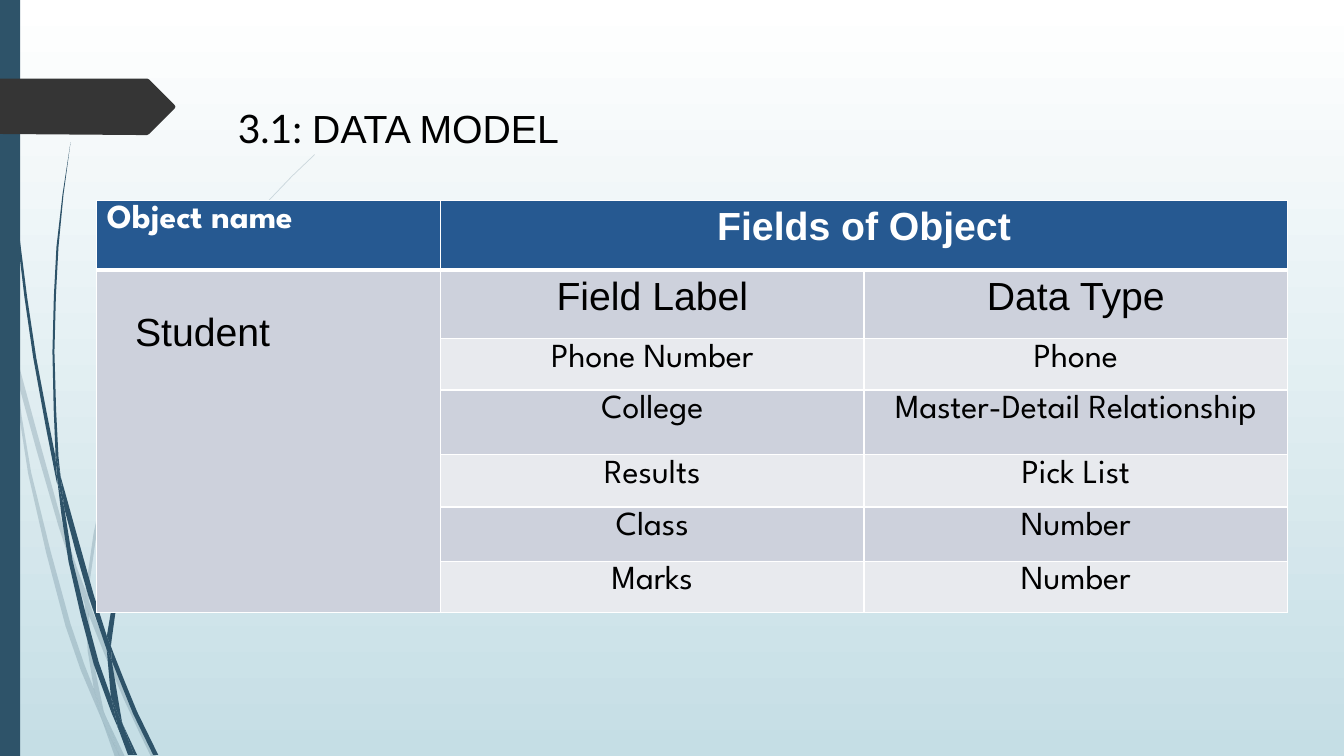
from math import dist

from lxml import etree
from pptx import Presentation
from pptx import util as u
from pptx.dml.color import RGBColor
from pptx.enum import shapes, text
from pptx.oxml.ns import qn

TEAL = RGBColor(0x2E, 0x53, 0x69)
DARK = RGBColor(0x35, 0x35, 0x35)
BLUE = RGBColor(0x26, 0x59, 0x91)
GREY = RGBColor(0xCD, 0xD1, 0xDC)
PALE = RGBColor(0xE8, 0xEA, 0xEE)
SKY = RGBColor(0xC5, 0xDE, 0xE5)
WHITE = RGBColor(0xFF, 0xFF, 0xFF)
BLACK = RGBColor(0, 0, 0)
SANS, ROUND = "Arial", "League Spartan"

# Each strand of grass: one edge out, one edge back
FAINT = [
    ([(0.11, 3.5), (0.09, 3.22), (0, 2.82)], [(0, 2.99), (0.1, 3.44)]),
    ([(0.14, 3.45), (0.17, 3.76), (0.58, 5.22), (0.84, 5.99)],
     [(0.85, 5.86), (0.62, 5.2), (0.14, 3.45)]),
    ([(0.88, 5.96), (0.88, 6.1), (1.23, 6.94), (1.5, 7.51)],
     [(1.55, 7.51), (1.27, 6.92), (0.92, 6.07)]),
    ([(1.05, 7.11), (1.19, 7.51)], [(1.24, 7.51)]),
    ([(0.11, 3.5), (0.28, 4.7), (0.65, 6.21), (0.92, 6.93), (1.01, 7.14)],
     [(0.99, 7.07), (0.93, 6.83), (0.7, 6.19), (0.31, 4.69), (0.17, 3.76)]),
    ([(0.84, 5.99), (0.87, 6.46), (0.93, 6.83), (0.96, 6.92), (1.05, 7.11)],
     [(1.03, 7.06), (0.91, 6.46), (0.88, 6.08)]),
    ([(0.88, 5.96), (0.88, 5.84), (1.1, 4.62), (1.6, 3.49), (2.29, 2.45),
      (2.68, 1.98), (2.9, 1.75), (3.12, 1.54)],
     [(3.12, 1.53), (2.89, 1.75), (2.68, 1.97), (2.28, 2.44), (1.58, 3.48),
      (1.07, 4.61), (0.85, 5.84)]),
    ([(1.01, 7.14), (1.14, 7.51)], [(1.19, 7.51)]),
    ([(0.88, 6.1), (0.88, 5.96), (0.85, 5.86)], [(0.84, 5.99), (0.88, 6.08)]),
    ([(0.93, 6.83), (0.99, 7.07), (1.01, 7.14), (1.19, 7.51)],
     [(1.05, 7.11), (0.96, 6.92)]),
]
STRONG = [
    ([(0.03, 0), (0.04, 0.48), (0.07, 1.1), (0.17, 2.33), (0.33, 3.55), (0.56, 4.77)],
     [(0.57, 4.81), (0.55, 4.53), (0.36, 3.55), (0.19, 2.32), (0.08, 1.09),
      (0.05, 0.48), (0.04, 0)]),
    ([(0.6, 4.72), (0.64, 5.05), (0.88, 5.92), (1.06, 6.45)],
     [(1.06, 6.31), (0.93, 5.9), (0.6, 4.72)]),
    ([(1.1, 6.41), (1.11, 6.56), (1.32, 7.08), (1.52, 7.49)],
     [(1.57, 7.49), (1.36, 7.06), (1.13, 6.49)]),
    ([(0.57, 4.77), (0.68, 5.57), (0.93, 6.59), (1.11, 7.08), (1.17, 7.22)],
     [(1.16, 7.17), (1.1, 6.91), (0.98, 6.57), (0.72, 5.56), (0.64, 5.05)]),
    ([(0.6, 4.72), (0.58, 4.53), (0.54, 3.49), (0.58, 2.45), (0.63, 1.93), (0.7, 1.41)],
     [(0.62, 1.93), (0.56, 2.45), (0.52, 3.49), (0.55, 4.49)]),
    ([(1.22, 7.19), (1.33, 7.49)], [(1.36, 7.49)]),
    ([(0.55, 4.49), (0.55, 4.53), (0.57, 4.77), (0.64, 5.05)], [(0.6, 4.72)]),
    ([(1.1, 6.41), (1.11, 6.33), (1.25, 5.52), (1.58, 4.76), (2.05, 4.06),
      (2.31, 3.74), (2.61, 3.44)],
     [(2.6, 3.44), (2.31, 3.73), (2.04, 4.05), (1.56, 4.74), (1.22, 5.51), (1.06, 6.31)]),
    ([(1.17, 7.22), (1.27, 7.49)], [(1.31, 7.49)]),
    ([(1.06, 6.45), (1.1, 6.91), (1.16, 7.06), (1.22, 7.19)],
     [(1.21, 7.16), (1.11, 6.56)]),
    ([(1.06, 6.45), (1.11, 6.56), (1.1, 6.41)], [(1.06, 6.31)]),
    ([(1.1, 6.91), (1.16, 7.17), (1.17, 7.22), (1.3, 7.49)],
     [(1.33, 7.49), (1.22, 7.19), (1.16, 7.06)]),
]
FIELDS = [("Phone Number", "Phone"), ("College", "Master-Detail Relationship"),
          ("Results", "Pick List"), ("Class", "Number"), ("Marks", "Number")]
COLS = [3.41, 4.2, 4.2]
ROWS = [0.69, 0.68, 0.51, 0.64, 0.52, 0.54, 0.51]


def curve(edge):
    """Points of the edge, with a smooth middle point in each long span."""
    pad = [edge[0], *edge, edge[-1]]
    out = [edge[0]]
    for a, b, c, d in zip(pad, pad[1:], pad[2:], pad[3:]):
        if dist(b, c) > 0.6:
            out.append(tuple((9 * (q + r) - p - s) / 16 for p, q, r, s in zip(a, b, c, d)))
        out.append(c)
    return out


class Deck:
    def __init__(self):
        self.file = Presentation()
        self.file.slide_width = u.Inches(13.33)
        self.file.slide_height = u.Inches(7.5)
        self.slide = self.file.slides.add_slide(self.file.slide_layouts[6])
        self.items = self.slide.shapes

    def back(self, top, base):
        fill = self.slide.background.fill
        fill.gradient()
        fill.gradient_angle = 270
        for stop, color in zip(fill.gradient_stops, (top, base)):
            stop.color.rgb = color

    def paint(self, shape, color, alpha=None):
        shape.shadow.inherit = False
        shape.fill.solid()
        shape.fill.fore_color.rgb = color
        shape.line.fill.background()
        if alpha:
            tint = shape.fill._xPr.find(qn("a:solidFill"))[0]
            etree.SubElement(tint, qn("a:alpha")).set("val", str(alpha * 1000))

    def rect(self, x, y, w, h, color):
        box = [u.Inches(v) for v in (x, y, w, h)]
        self.paint(self.items.add_shape(shapes.MSO_SHAPE.RECTANGLE, *box), color)

    def free(self, points, color, alpha=None):
        spots = [(u.Inches(x), u.Inches(y)) for x, y in points]
        form = self.items.build_freeform(*spots[0])
        form.add_line_segments(spots[1:], close=True)
        self.paint(form.convert_to_shape(), color, alpha)

    def run(self, para, words, font, size, color=BLACK, bold=False):
        run = para.add_run()
        run.text = words
        run.font.name, run.font.size = font, u.Pt(size)
        run.font.color.rgb, run.font.bold = color, bold

    def title(self, x, y, w, h, runs):
        frame = self.items.add_textbox(*[u.Inches(v) for v in (x, y, w, h)]).text_frame
        frame.word_wrap = True
        frame.margin_top = u.Inches(0.51)
        for words, font in runs:
            self.run(frame.paragraphs[0], words, font, 28)

    def grid(self, x, y, cols, rows):
        box = [u.Inches(v) for v in (x, y, sum(cols), sum(rows))]
        table = self.items.add_table(len(rows), len(cols), *box).table
        for col, width in zip(table.columns, cols):
            col.width = u.Inches(width)
        for row, height in zip(table.rows, rows):
            row.height = u.Inches(height)
        return table

    def cell(self, cell, fill, wide):
        props = cell._tc.get_or_add_tcPr()
        for side in "LRTB":
            line = etree.SubElement(props, qn("a:ln" + side))
            line.set("w", str(u.Pt(3 if side == wide else 1)))
            solid = etree.SubElement(line, qn("a:solidFill"))
            etree.SubElement(solid, qn("a:srgbClr")).set("val", str(WHITE))
        cell.fill.solid()
        cell.fill.fore_color.rgb = fill

    def label(self, cell, words, font, size, color=BLACK, bold=False, mid=True):
        para = cell.text_frame.paragraphs[0]
        if mid:
            para.alignment = text.PP_ALIGN.CENTER
        self.run(para, words, font, size, color, bold)


def main():
    deck = Deck()
    deck.back(WHITE, SKY)

    # Grass, side bar and tag
    for group, alpha in ((FAINT, 20), (STRONG, None)):
        for out, home in group:
            deck.free(curve(out) + curve(home), TEAL, alpha)
    deck.rect(0, 0, 0.2, 7.5, TEAL)
    deck.free([(0, 0.78), (1.46, 0.78), (1.48, 0.79), (1.73, 1.04), (1.74, 1.06),
               (1.73, 1.08), (1.48, 1.33), (1.46, 1.34), (1.36, 1.34), (0, 1.33)], DARK)

    # Title
    deck.title(2.26, 0.53, 9.75, 1.46, [("3.1: ", "Lato"), ("DATA MODEL", SANS)])

    # Table frame
    table = deck.grid(0.96, 1.99, COLS, ROWS)
    for r in range(len(ROWS)):
        for c in range(len(COLS)):
            fill = BLUE if r == 0 else GREY if r % 2 or c == 0 else PALE
            deck.cell(table.cell(r, c), fill, {0: "B", 1: "T"}.get(r))
    table.cell(0, 1).merge(table.cell(0, 2))
    table.cell(1, 0).merge(table.cell(6, 0))

    # Table text
    for c in range(2):
        table.cell(0, c).margin_top = u.Inches(0.04)
    deck.label(table.cell(0, 0), "Object name", ROUND, 24, WHITE, True, False)
    deck.label(table.cell(0, 1), "Fields of Object", SANS, 28, WHITE, True)
    name = table.cell(1, 0)
    name.margin_left, name.margin_top = u.Inches(0.38), u.Inches(0.41)
    deck.label(name, "Student", SANS, 28, mid=False)
    for c, head in enumerate(("Field Label", "Data Type"), 1):
        deck.label(table.cell(1, c), head, SANS, 28)
    for r, pair in enumerate(FIELDS, 2):
        for c, words in enumerate(pair, 1):
            deck.label(table.cell(r, c), words, ROUND, 24)

    deck.file.save("out.pptx")


if __name__ == "__main__":
    main()
